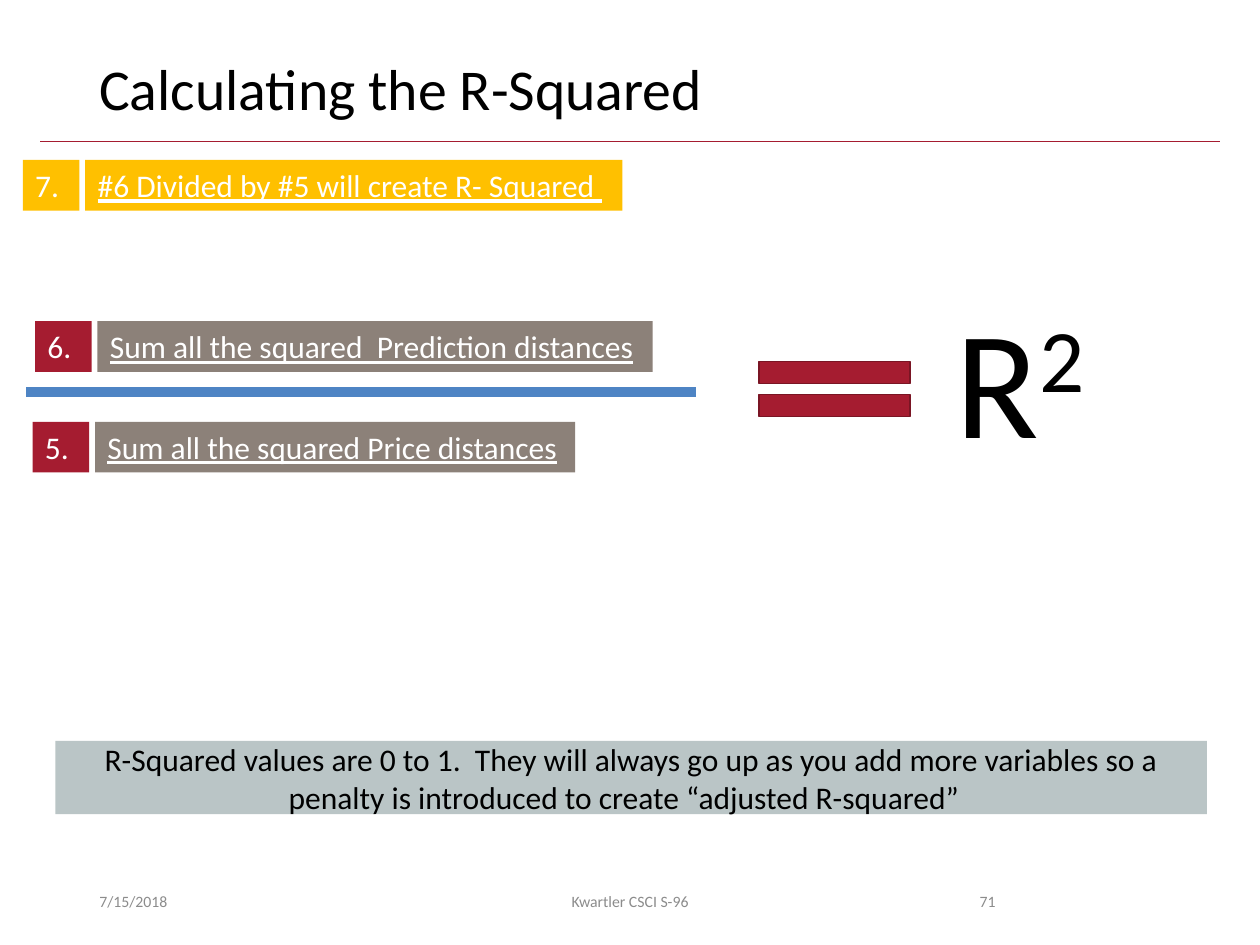
from lxml.etree import SubElement
from pptx import Presentation
from pptx.dml.color import RGBColor
from pptx.enum.shapes import MSO_CONNECTOR, MSO_SHAPE
from pptx.enum.text import MSO_ANCHOR, MSO_AUTO_SIZE, PP_ALIGN
from pptx.oxml.ns import qn
from pptx.util import Pt

HUES = {
    "red": "A51C30", "edge": "7A1524", "gold": "FFC000", "taupe": "8C8179",
    "blue": "4E84C4", "mist": "BAC5C6", "gray": "8C8C8C",
    "black": "000000", "white": "FFFFFF",
}


def hue(name):
    """Return the named colour."""
    return RGBColor.from_string(HUES[name])


def write(shape, text, size, color, align=PP_ALIGN.LEFT, anchor=MSO_ANCHOR.TOP, fit=False):
    """Set and format one paragraph of text, and return it."""
    frame = shape.text_frame
    frame.text = text
    frame.word_wrap = not fit
    frame.auto_size = MSO_AUTO_SIZE.SHAPE_TO_FIT_TEXT if fit else MSO_AUTO_SIZE.NONE
    frame.vertical_anchor = anchor
    para = frame.paragraphs[0]
    para.alignment = align
    font = para.runs[0].font
    font.name, font.size, font.color.rgb = "Calibri", Pt(size), hue(color)
    return para


def add_text(slide, box, *args, **style):
    """Add a text box and return its paragraph."""
    return write(slide.shapes.add_textbox(*map(Pt, box)), *args, **style)


def add_block(slide, box, fill, kind=MSO_SHAPE.RECTANGLE):
    """Add a flat filled shape without outline."""
    shape = slide.shapes.add_shape(kind, *map(Pt, box))
    shape.shadow.inherit = False
    shape.fill.solid()
    shape.fill.fore_color.rgb = hue(fill)
    shape.line.fill.background()
    return shape


def add_rule(slide, left, top, width, color, weight):
    """Add a horizontal line."""
    ends = map(Pt, (left, top, left + width, top))
    rule = slide.shapes.add_connector(MSO_CONNECTOR.STRAIGHT, *ends)
    rule.line.color.rgb = hue(color)
    rule.line.width = Pt(weight)
    SubElement(rule._element.spPr, qn("a:effectLst"))


def add_step(slide, box, number, text, badge, fill):
    """Add a number badge followed by an underlined label."""
    left, top, width, height = box
    side, gap = 32.4, 3.3
    tag = add_block(slide, (left, top, side, height), badge)
    write(tag, number, 18, "white", fit=True)
    start = side + gap
    label = add_block(slide, (left + start, top, width - start, height), fill)
    write(label, text, 18, "white", fit=True).runs[0].font.underline = True


def add_head(slide, box):
    """Add the title and the rule below it."""
    left, top, width, height = box
    para = add_text(slide, (left + 26.6, top, width - 53.2, height),
                    "Calculating the R-Squared", 33, "black", anchor=MSO_ANCHOR.MIDDLE)
    para.line_spacing = 0.9
    add_rule(slide, left, top + 52, width, "red", 0.5)


def add_ratio(slide, box):
    """Add the fraction, the equal sign and the result."""
    left, top, width, height = box
    add_step(slide, (left + 5, top + 24.5, 353, 29), "6.",
             "Sum all the squared  Prediction distances", "red", "taupe")
    add_step(slide, (left + 3.6, top + 82, 310, 29), "5.",
             "Sum all the squared Price distances", "red", "taupe")
    add_rule(slide, left, top + 65, 383, "blue", 6)
    equal = add_block(slide, (left + 403.2, top + 36.7, 117.4, 53.3), "red", MSO_SHAPE.MATH_EQUAL)
    equal.line.color.rgb = hue("edge")
    equal.line.width = Pt(1)
    para = add_text(slide, (left + width - 93, top, 93, height), "R", 88, "black", fit=True)
    power = para.add_run()
    power.text = "2"
    font = power.font
    font.name, font.size, font.color.rgb = "Calibri", Pt(88), hue("black")
    power._r.get_or_add_rPr().set("baseline", "30000")


def add_note(slide, box):
    """Add the shaded remark."""
    write(add_block(slide, box, "mist"),
          "R-Squared values are 0 to 1.  They will always go up as you add more "
          "variables so a penalty is introduced to create “adjusted R-squared”  ",
          18, "black", PP_ALIGN.CENTER, MSO_ANCHOR.MIDDLE)


def add_foot(slide, box):
    """Add the date, the course and the page number."""
    left, top, width, height = box
    parts = (
        (0, 162, "7/15/2018", PP_ALIGN.LEFT),
        (188.6, 243.4, "Kwartler CSCI S-96", PP_ALIGN.CENTER),
        (width - 67.7, 67.7, "71", PP_ALIGN.RIGHT),
    )
    for shift, span, text, align in parts:
        add_text(slide, (left + shift, top, span, height), text, 9, "gray", align, MSO_ANCHOR.MIDDLE)


def main():
    """Build and save the slide."""
    deck = Presentation()
    deck.slide_width, deck.slide_height = Pt(720), Pt(540)
    slide = deck.slides.add_slide(deck.slide_layouts[6])
    add_head(slide, (23, 28.8, 674, 46.8))
    add_step(slide, (13, 91.4, 342.7, 29), "7.",
             "#6 Divided by #5 will create R- Squared ", "gold", "gold")
    add_ratio(slide, (15, 159, 617, 113.8))
    add_note(slide, (31.7, 423.4, 658, 41.8))
    add_foot(slide, (49.7, 500.4, 526.3, 28.8))
    deck.save("out.pptx")


if __name__ == "__main__":
    main()
